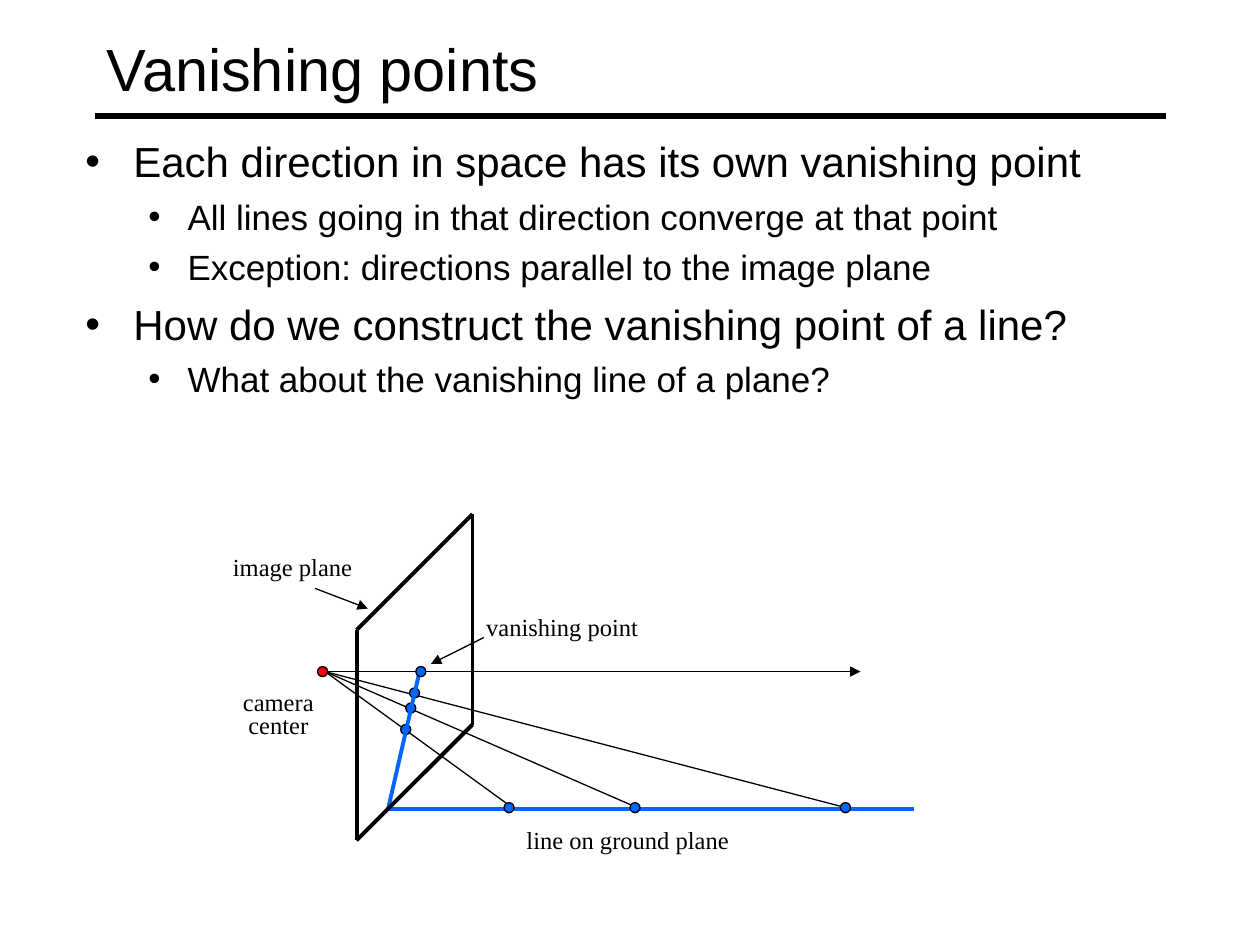
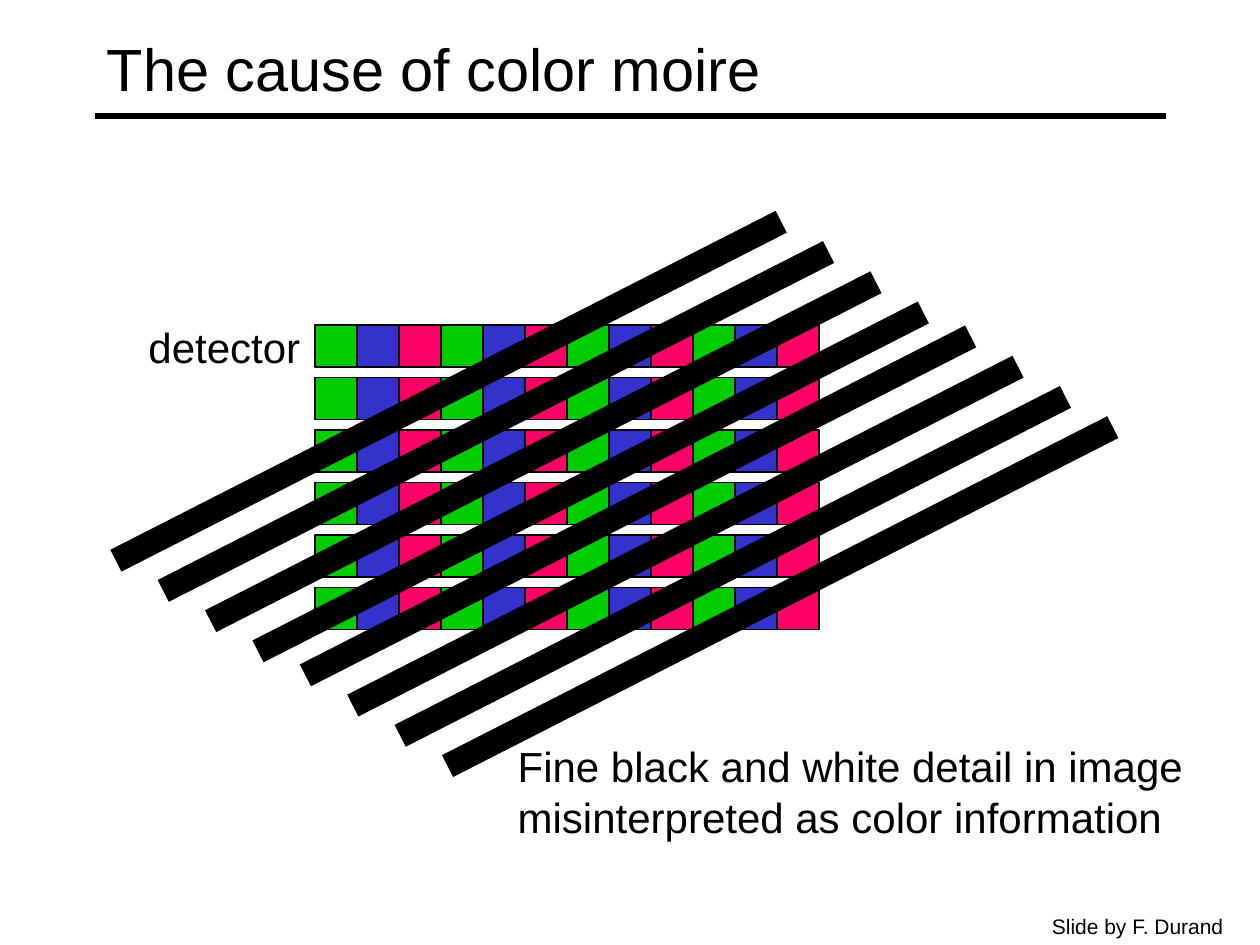
from lxml import etree
from pptx import Presentation
from pptx.dml.color import RGBColor
from pptx.enum import shapes, text
from pptx.oxml import ns
from pptx.util import Inches, Pt

BLACK = RGBColor(0x00, 0x00, 0x00)
BLUE = RGBColor(0x00, 0x66, 0xFF)
RED = RGBColor(0xFF, 0x00, 0x00)
CELLS = [RGBColor(0x00, 0xCC, 0x00), RGBColor(0x33, 0x33, 0xCC),
         RGBColor(0xFF, 0x00, 0x66)]
SERIF = "Times New Roman"


def write(slide, at, words, size=14, font="Arial", wrap=False,
          anchor=text.MSO_ANCHOR.TOP, align=text.PP_ALIGN.LEFT):
    """Add a text box with one paragraph per line of words."""
    frame = slide.shapes.add_textbox(*map(Inches, at)).text_frame
    frame.word_wrap = wrap
    frame.vertical_anchor = anchor
    frame.text = words
    for para in frame.paragraphs:
        para.alignment = align
        face = para.runs[0].font
        face.name, face.size = font, Pt(size)
        face.color.rgb = BLACK
    return frame


def draw(slide, start, end, color=BLACK, width=0.75, arrow=False):
    """Add a straight line, with an arrowhead at its end if asked."""
    line = slide.shapes.add_connector(
        shapes.MSO_CONNECTOR.STRAIGHT, *map(Inches, (*start, *end)))
    line.line.color.rgb = color
    line.line.width = Pt(width)
    if arrow:
        etree.SubElement(line.line._get_or_add_ln(), ns.qn("a:tailEnd"),
                         type="triangle")
    etree.SubElement(line._element.spPr, ns.qn("a:effectLst"))


deck = Presentation()
deck.slide_width, deck.slide_height = Inches(10), Inches(7.5)
pages = []
for title in ("Vanishing points", "The cause of color moire"):
    page = deck.slides.add_slide(deck.slide_layouts[6])
    draw(page, (0.75, 0.92), (9.25, 0.92), width=3)
    write(page, (0.75, 0.08, 8.5, 0.92), title, size=34, wrap=True,
          anchor=text.MSO_ANCHOR.MIDDLE)
    pages.append(page)
vanish, moire = pages

# Vanishing points: bullets
points = [
    (0, "Each direction in space has its own vanishing point"),
    (1, "All lines going in that direction converge at that point"),
    (1, "Exception: directions parallel to the image plane"),
    (0, "How do we construct the vanishing point of a line?"),
    (1, "What about the vanishing line of a plane?"),
]
body = write(vanish, (0.58, 1.03, 9.25, 2.17),
             "\n".join(words for _, words in points), wrap=True)
for row, (para, (level, _)) in enumerate(zip(body.paragraphs, points)):
    size, left, hang = ((24, 0.38, 0.38), (20, 0.81, 0.31))[level]
    para.level = level
    para.runs[0].font.size = Pt(size)
    if row:
        para.space_before = Pt(size / 4)
    props = para._p.get_or_add_pPr()
    props.set("marL", str(Inches(left)))
    props.set("indent", str(-Inches(hang)))
    etree.SubElement(props, ns.qn("a:buFont"), typeface="Arial")
    etree.SubElement(props, ns.qn("a:buChar"), char="•")

# Vanishing points: diagram, as stages of lines and the dots on top of them
eye, horizon, foot = (2.58, 5.33), (3.33, 5.33), (3.08, 6.42)
near_top, near_low = (2.83, 5), (2.83, 6.67)
far_top, far_low = (3.75, 4.08), (3.75, 5.75)
thick = {"width": 2.25}
ground = {"color": BLUE, "width": 2.25}
arrow = {"arrow": True}
stages = [
    ([(far_top, far_low, thick), (foot, (7.25, 6.42), ground),
      ((2.5, 4.67), (2.92, 4.83), arrow)], []),
    ([(eye, (4.08, 6.42), {})], [(4.04, 6.41, BLUE), (3.22, 5.79, BLUE)]),
    ([(eye, (5.08, 6.42), {})], [(3.26, 5.62, BLUE), (5.04, 6.41, BLUE)]),
    ([(eye, (6.75, 6.42), {})], [(3.29, 5.5, BLUE), (6.71, 6.41, BLUE)]),
    ([(foot, horizon, ground), (eye, (6.83, 5.33), arrow),
      ((3.84, 5.06), (3.42, 5.27), arrow)], [(3.34, 5.33, BLUE)]),
    ([(near_top, near_low, thick), (near_low, far_low, thick),
      (near_top, far_top, thick)], [(2.56, 5.33, RED)]),
]
DOT = 0.08
for lines, dots in stages:
    for start, end, style in lines:
        draw(vanish, start, end, **style)
    for x, y, color in dots:
        dot = vanish.shapes.add_shape(
            shapes.MSO_SHAPE.OVAL, Inches(x - DOT / 2), Inches(y - DOT / 2),
            Inches(DOT), Inches(DOT))
        dot.shadow.inherit = False
        dot.fill.solid()
        dot.fill.fore_color.rgb = color
        dot.line.color.rgb = BLACK
        dot.line.width = Pt(0.75)

for at, words in (((1.75, 4.33, 1.15, 0.33), "image plane"),
                  ((4.08, 6.5, 1.81, 0.33), "line on ground plane"),
                  ((3.76, 4.81, 1.41, 0.33), "vanishing point")):
    write(vanish, at, words, font=SERIF)
camera = write(vanish, (1.83, 5.4, 0.76, 0.52), "camera\ncenter",
               font=SERIF, align=text.PP_ALIGN.CENTER)
camera.paragraphs[1].line_spacing = 0.8

# Color moire: detector cells under slanted bars
SIDE = 1 / 3
for row in range(6):
    for col in range(12):
        cell = moire.shapes.add_shape(
            shapes.MSO_SHAPE.RECTANGLE, Inches(2.5 + col * SIDE),
            Inches(2.58 + row * 5 / 12), Inches(SIDE), Inches(SIDE))
        cell.shadow.inherit = False
        cell.fill.solid()
        cell.fill.fore_color.rgb = CELLS[col % 3]
        cell.line.color.rgb = BLACK
        cell.line.width = Pt(0.75)

for bar in range(8):
    x = 0.92 + 0.376 * bar
    y = 4.45 + 0.24 * bar - 0.05 * (bar // 4)
    draw(moire, (x, y), (x + 5.28, y - 2.69), width=14)

write(moire, (1.08, 2.5, 1.41, 0.5), "detector", size=24)
write(moire, (4.01, 5.83, 5.49, 0.9),
      "Fine black and white detail in image\n"
      "misinterpreted as color information", size=24)
write(moire, (8.25, 7.2, 1.58, 0.3), "Slide by F. Durand", size=12)

deck.save("out.pptx")
